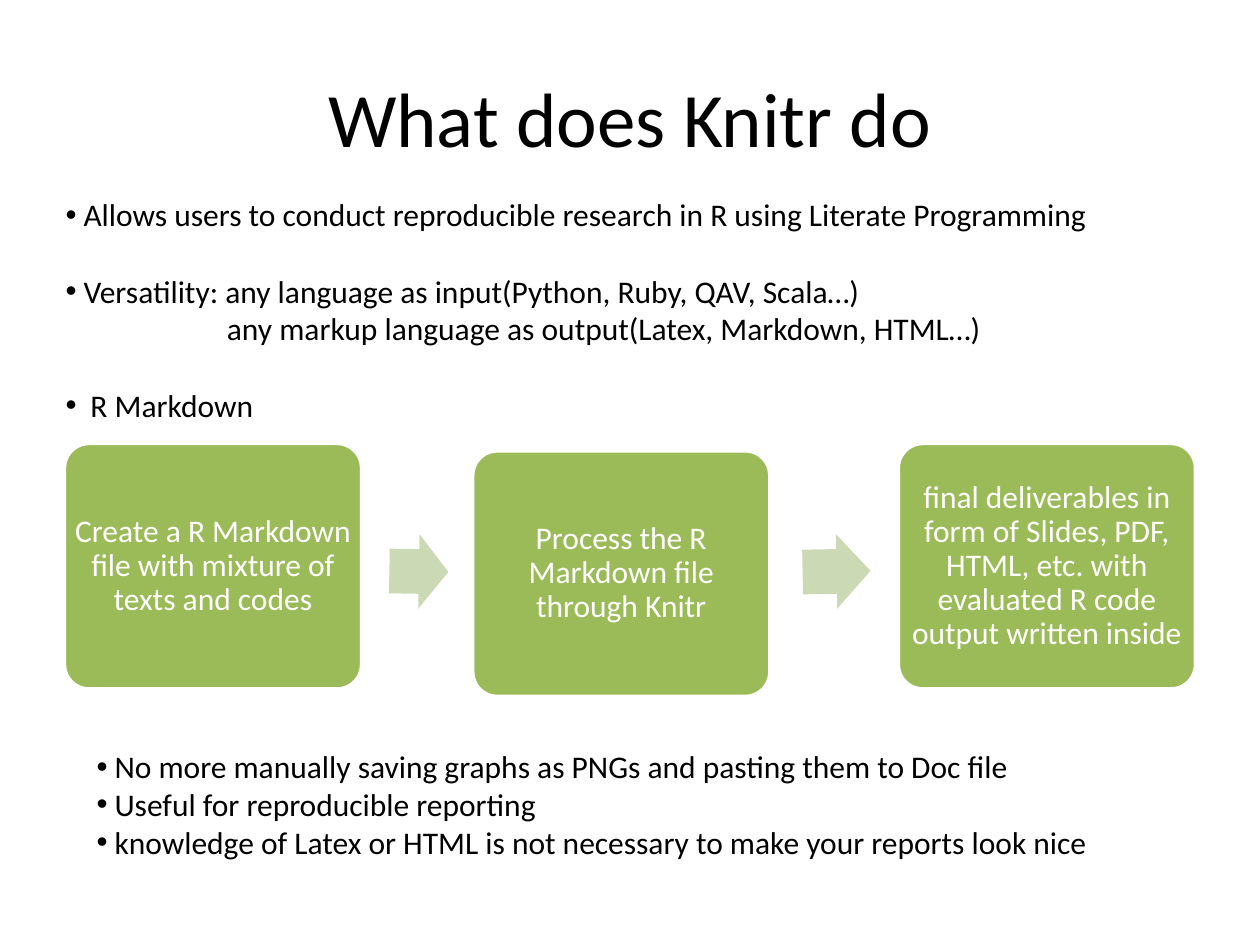
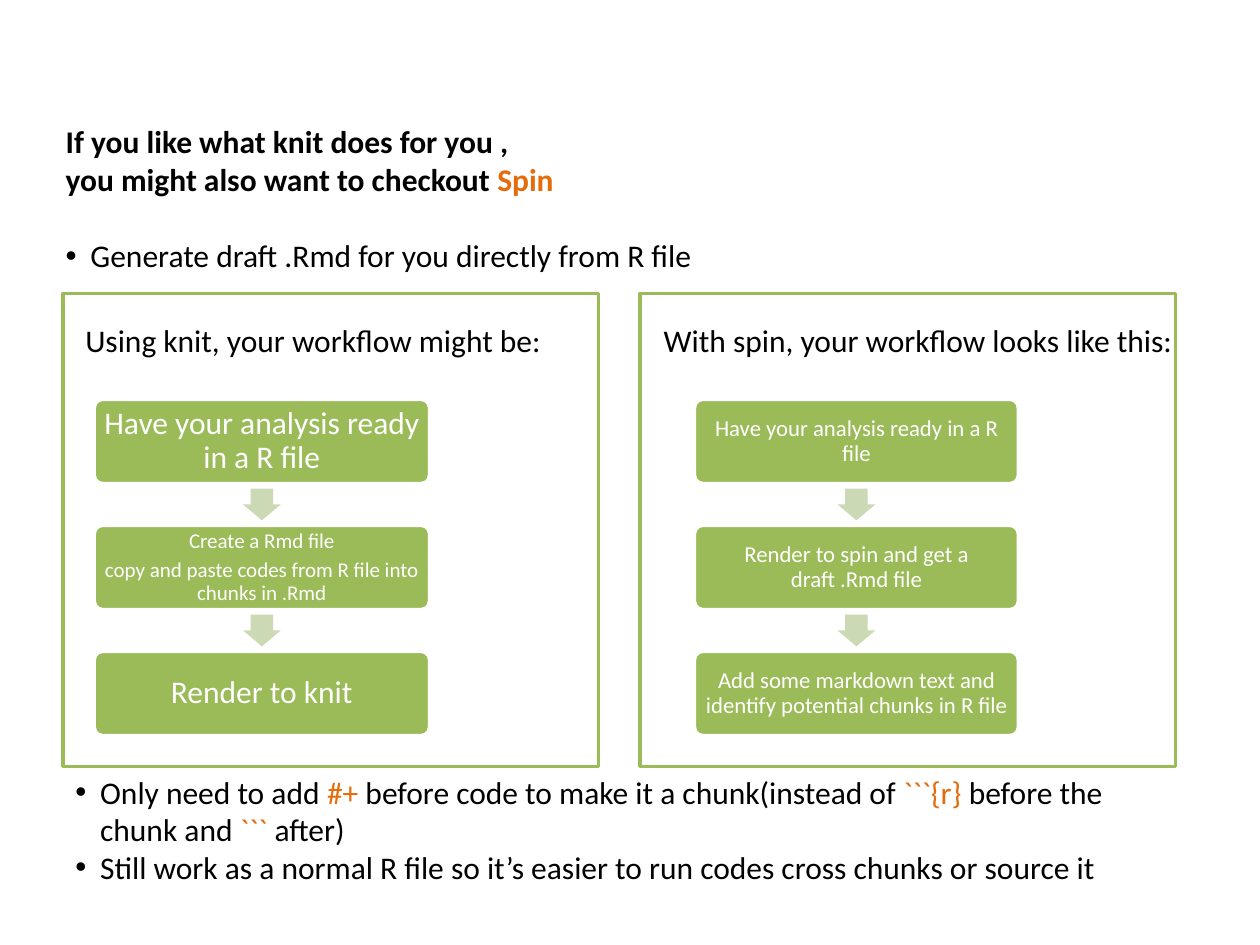
import pptx
import pptx.dml.color
import pptx.enum.shapes
import pptx.enum.text
import pptx.oxml.ns
import pptx.util
from lxml import etree
from pptx.util import Cm, Pt

FONT = "Calibri"
BLACK, WHITE, GREEN, PALE_GREEN, ORANGE = "000000", "FFFFFF", "9BBB59", "CBDAB5", "E46C0A"
SHAPES = pptx.enum.shapes.MSO_SHAPE
ALIGN = pptx.enum.text.PP_ALIGN
ANCHOR = pptx.enum.text.MSO_ANCHOR

TEXT_SIZE = 18
BLANK_LINE = 22       # points between separated list items
NARROW, WIDE = 0.36, 0.5   # hanging indents in cm
CORNER = 0.1          # corner radius of a step, as a share of its height
STEP_PADDING = 0.18

# List items: (text or coloured parts, hanging indent, left margin, space before)
KNITR_FEATURES = [
    ("Allows users to conduct reproducible research in R using Literate Programming", NARROW, NARROW, 0),
    ("Versatility: any language as input(Python, Ruby, QAV, Scala…)", NARROW, NARROW, BLANK_LINE),
    ("any markup language as output(Latex, Markdown, HTML…)", 0, 3.25, 0),
    ("R Markdown", WIDE, WIDE, BLANK_LINE),
]
KNITR_BENEFITS = [
    ("No more manually saving graphs as PNGs and pasting them to Doc file", NARROW, NARROW, 0),
    ("Useful for reproducible reporting", NARROW, NARROW, 0),
    ("knowledge of Latex or HTML is not necessary to make your reports look nice", NARROW, NARROW, 0),
]
SPIN_HEADING = [
    ("If you like what knit does for you ,", 0, 0, 0),
    ([("you might also want to checkout ", BLACK), ("Spin", ORANGE)], 0, 0, 0),
]
SPIN_PURPOSE = [("Generate draft .Rmd for you directly from R file", WIDE, WIDE, 0)]
SPIN_BENEFITS = [
    ([("Only need to add ", BLACK), ("#+ ", ORANGE),
      ("before code to make it a chunk(instead of ", BLACK), ("```{r} ", ORANGE),
      ("before the chunk and ", BLACK), ("``` ", ORANGE), ("after)", BLACK)], WIDE, WIDE, 0),
    ("Still work as a normal R file so it’s easier to run codes cross chunks or source it", WIDE, WIDE, 0),
]

# Knitr steps: (left, top, lines)
KNITR_STEPS = [
    (1.3, 8.94, ["Create a R Markdown file with mixture of texts and codes"]),
    (9.53, 9.09, ["Process the R Markdown file through Knitr"]),
    (18.11, 8.94, ["final deliverables in form of Slides, PDF, HTML, etc. "
                   "with evaluated R code output written inside"]),
]
# Arrows between them: (left, width, rotation)
KNITR_ARROWS = [(7.85, 1.19, 1), (16.18, 1.37, 359)]

# Each workflow: frame left, caption left and width, step left and width, steps (lines, size)
WORKFLOWS = [
    dict(frame=1.27, caption="Using knit, your workflow might be:", caption_left=1.47, caption_width=9.96,
         left=1.9, width=6.76, steps=[
             (["Have your analysis ready in a R file"], 18),
             (["Create a Rmd file", "copy and paste codes from R file into chunks in .Rmd"], 12),
             (["Render to knit"], 18)]),
    dict(frame=12.9, caption="With spin, your workflow looks like this:", caption_left=13.13, caption_width=11.86,
         left=14.0, width=6.53, steps=[
             (["Have your analysis ready in a R file"], 13),
             (["Render to spin and get a draft .Rmd file"], 13),
             (["Add some markdown text and identify potential chunks in R file"], 13)]),
]


def colour(value):
    return pptx.dml.color.RGBColor.from_string(value)


def place(shape, left, top, width, height):
    shape.left, shape.top, shape.width, shape.height = Cm(left), Cm(top), Cm(width), Cm(height)


def style(paragraph, size, text_colour, bold=False):
    font = paragraph.font
    font.name, font.size, font.bold = FONT, Pt(size), bold
    font.color.rgb = colour(text_colour)


def set_bullet(paragraph, hanging, left):
    """Give a hanging bullet, or none when the hanging indent is 0."""
    properties = paragraph._p.get_or_add_pPr()
    properties.set("marL", str(Cm(left)))
    properties.set("indent", str(-Cm(hanging)))
    qn = pptx.oxml.ns.qn
    if hanging:
        etree.SubElement(properties, qn("a:buFont")).set("typeface", "Arial")
        etree.SubElement(properties, qn("a:buChar")).set("char", "•")
    else:
        etree.SubElement(properties, qn("a:buNone"))


def paragraphs(frame, items):
    """Pair each item with a paragraph of the frame, adding those that lack."""
    for index, item in enumerate(items):
        yield frame.paragraphs[0] if index == 0 else frame.add_paragraph(), item


def write_list(shape, items, bold=False):
    frame = shape.text_frame
    frame.word_wrap = True
    frame.auto_size = pptx.enum.text.MSO_AUTO_SIZE.NONE
    frame.vertical_anchor = ANCHOR.TOP
    for paragraph, (parts, hanging, left, before) in paragraphs(frame, items):
        paragraph.alignment = ALIGN.LEFT
        paragraph.space_before = Pt(before)
        set_bullet(paragraph, hanging, left)
        style(paragraph, TEXT_SIZE, BLACK, bold)
        for text, text_colour in [(parts, BLACK)] if isinstance(parts, str) else parts:
            run = paragraph.add_run()
            run.text = text
            if text_colour != BLACK:
                run.font.color.rgb = colour(text_colour)


def add_text(slide, items, left, top, width, height):
    box = slide.shapes.add_textbox(Cm(left), Cm(top), Cm(width), Cm(height))
    write_list(box, items)


def add_box(slide, kind, left, top, width, height, fill, line=None):
    shape = slide.shapes.add_shape(kind, Cm(left), Cm(top), Cm(width), Cm(height))
    shape.shadow.inherit = False
    shape.fill.solid()
    shape.fill.fore_color.rgb = colour(fill)
    if line:
        shape.line.color.rgb = colour(line)
        shape.line.width = Pt(2)
    else:
        shape.line.fill.background()
    return shape


def add_step(slide, lines, size, left, top, width, height):
    step = add_box(slide, SHAPES.ROUNDED_RECTANGLE, left, top, width, height, GREEN, WHITE)
    step.adjustments[0] = CORNER
    frame = step.text_frame
    frame.word_wrap = True
    frame.vertical_anchor = ANCHOR.MIDDLE
    # The rounded corner already insets the text by 0.29 of its radius
    frame.margin_left = frame.margin_right = Cm(STEP_PADDING - 0.29 * CORNER * height)
    frame.margin_top = frame.margin_bottom = 0
    for paragraph, line in paragraphs(frame, lines):
        paragraph.text = line
        paragraph.alignment = ALIGN.CENTER
        paragraph.line_spacing = 0.9
        paragraph.space_before = Pt(4 if line != lines[0] else 0)
        style(paragraph, size, WHITE)


def add_arrow(slide, kind, left, top, width, height, rotation=0):
    arrow = add_box(slide, kind, left, top, width, height, PALE_GREEN)
    arrow.adjustments[0], arrow.adjustments[1] = 0.6, 0.5
    arrow.rotation = rotation


def add_workflow(slide, workflow):
    step_top, step_height, pitch = 8.05, 1.7, 2.54
    arrow_width, arrow_height = 0.76, 0.64
    left, width = workflow["left"], workflow["width"]
    add_box(slide, SHAPES.RECTANGLE, workflow["frame"], 5.92, 10.8, 9.53, WHITE, GREEN)
    add_text(slide, [(workflow["caption"], 0, 0, 0)],
             workflow["caption_left"], 6.35, workflow["caption_width"], 1.0)
    for index, (lines, size) in enumerate(workflow["steps"]):
        top = step_top + index * pitch
        add_step(slide, lines, size, left, top, width, step_height)
        if index:
            gap_middle = top - (pitch - step_height) / 2
            add_arrow(slide, SHAPES.DOWN_ARROW, left + (width - arrow_width) / 2,
                      gap_middle - arrow_height / 2, arrow_width, arrow_height)


def build_knitr_slide(slide):
    title, body = slide.placeholders
    place(title, 1.27, 0.76, 22.86, 3.18)
    title.text_frame.text = "What does Knitr do"
    style(title.text_frame.paragraphs[0], 44, BLACK)
    place(body, 1.07, 3.81, 22.23, 5.0)
    write_list(body, KNITR_FEATURES)
    for left, top, lines in KNITR_STEPS:
        add_step(slide, lines, TEXT_SIZE, left, top, 5.99, 4.95)
    for left, width, rotation in KNITR_ARROWS:
        add_arrow(slide, SHAPES.RIGHT_ARROW, left, 10.77, width, 1.5, rotation)
    add_text(slide, KNITR_BENEFITS, 1.7, 14.94, 21.8, 2.6)


def build_spin_slide(slide):
    title, body = slide.placeholders
    place(title, 1.07, 2.34, 22.23, 1.9)
    write_list(title, SPIN_HEADING, bold=True)
    place(body, 1.07, 4.64, 22.23, 1.1)
    write_list(body, SPIN_PURPOSE)
    for workflow in WORKFLOWS:
        add_workflow(slide, workflow)
    add_text(slide, SPIN_BENEFITS, 1.27, 15.45, 22.23, 2.6)


def main():
    presentation = pptx.Presentation()
    presentation.slide_width, presentation.slide_height = Cm(25.4), Cm(19.05)
    title_and_content = presentation.slide_layouts[1]
    for build in (build_knitr_slide, build_spin_slide):
        build(presentation.slides.add_slide(title_and_content))
    presentation.save("out.pptx")


if __name__ == "__main__":
    main()
